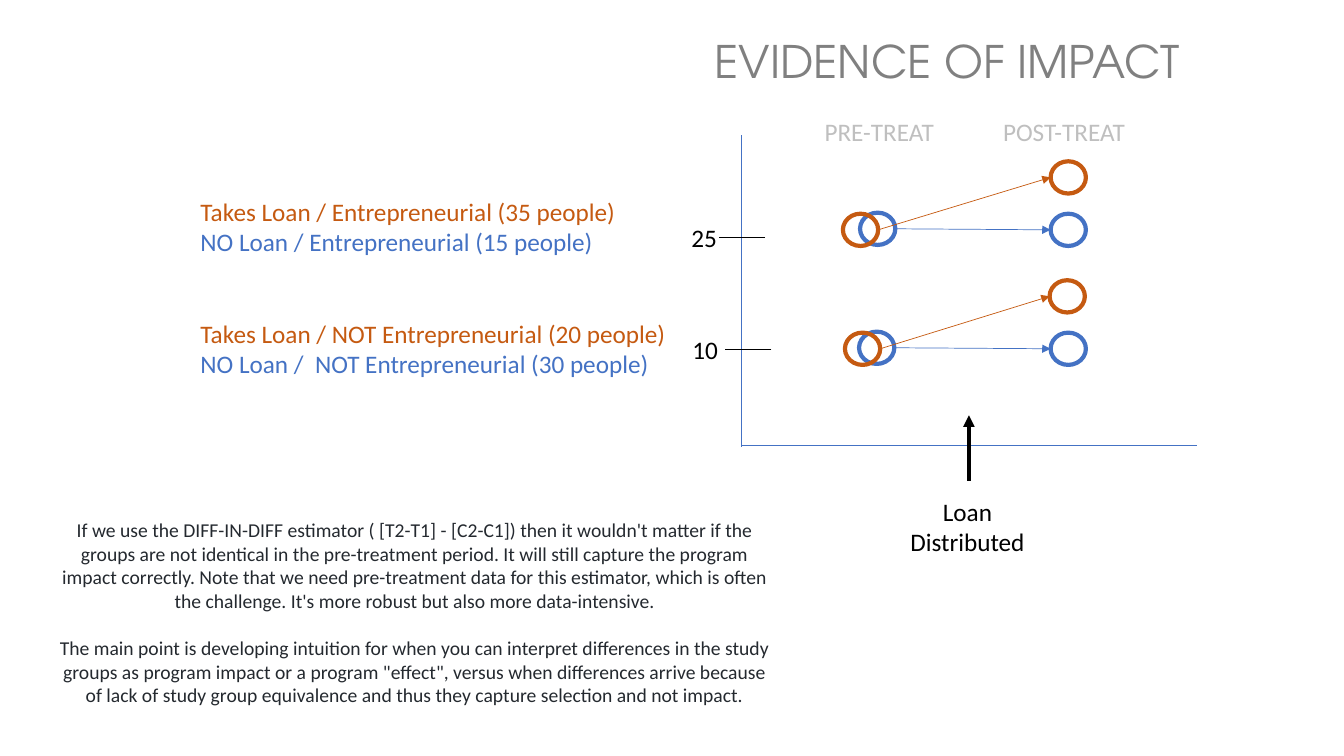
"""Build the evidence of impact slide, laid out on a grid of tenth-inch cells."""
from lxml import etree
from pptx import Presentation, util as u
from pptx.dml.color import RGBColor
from pptx.enum import shapes, text
from pptx.oxml.ns import qn

ORANGE = RGBColor(0xC5, 0x5A, 0x11)
BLUE = RGBColor(0x44, 0x72, 0xC4)
BLACK = RGBColor(0, 0, 0)
SILVER = RGBColor(0xBF, 0xBF, 0xBF)
GREY = RGBColor(0x80, 0x80, 0x80)
INK = RGBColor(0x24, 0x29, 0x2F)
LEFT, MID = text.PP_ALIGN.LEFT, text.PP_ALIGN.CENTER
BODY = {"size": u.Pt(18), "name": "Calibri"}
NOTE = {"size": u.Pt(14), "name": "Calibri"}
TITLE = {"size": u.Pt(32), "name": "TeX Gyre Adventor"}
WIDE, HIGH, LIFT = 3.5, 3.2, 5.2

GROUPS = [
    ("Takes Loan / Entrepreneurial (35 people)", ORANGE, 0),
    ("NO Loan / Entrepreneurial (15 people)", BLUE, 0),
    ("Takes Loan / NOT Entrepreneurial (20 people)", ORANGE, 44),
    ("NO Loan /  NOT Entrepreneurial (30 people)", BLUE, 0),
]
NOTES = [
    ("If we use the DIFF-IN-DIFF estimator ( [T2-T1] - [C2-C1]) then it wouldn't matter if the "
     "groups are not identical in the pre-treatment period. It will still capture the program "
     "impact correctly. Note that we need pre-treatment data for this estimator, which is often "
     "the challenge. It's more robust but also more data-intensive.", INK, 0),
    ("The main point is developing intuition for when you can interpret differences in the study "
     "groups as program impact or a program \"effect\", versus when differences arrive because "
     "of lack of study group equivalence and thus they capture selection and not impact.", INK, 17),
]
TEXTS = [
    ((18.9, 19, 48.7, 22.2), GROUPS, BODY, LEFT, False),
    ((67.6, 21.6, 4.6, 4), [("25", BLACK, 0)], BODY, LEFT, False),
    ((67.7, 32.7, 4.6, 4), [("10", BLACK, 0)], BODY, LEFT, False),
    ((89.2, 48.7, 13.5, 7.1), [("Loan", BLACK, 0), ("Distributed", BLACK, 0)], BODY, MID, False),
    ((80.8, 11.1, 13, 4), [("PRE-TREAT", SILVER, 0)], BODY, LEFT, False),
    ((98.5, 11.1, 14.4, 4), [("POST-TREAT", SILVER, 0)], BODY, LEFT, False),
    ((69.9, 2.9, 48.9, 6.4), [("EVIDENCE OF IMPACT", GREY, 0)], TITLE, LEFT, False),
    ((4.6, 50.9, 73.1, 19.9), NOTES, NOTE, MID, True),
]
LINES = [
    ((73.5, 13.4, 73.5, 44.3), BLUE, 0.5, False),
    ((118.7, 44.2, 73.5, 44.2), BLUE, 0.5, False),
    ((75.9, 23.5, 71.3, 23.5), BLACK, 0.5, False),
    ((76.5, 34.7, 71.9, 34.7), BLACK, 0.5, False),
    ((96.1, 47.7, 96.1, 41.2), BLACK, 2.75, True),
]
PAIRS = [
    {"row": 21.2, "take": 83.6, "none": 85.3, "after": 104.2},
    {"row": 33, "take": 83.8, "none": 85.2, "after": 104.1},
]


def cells(spots):
    return [u.Inches(n / 10) for n in spots]


def write(page, box, lines, font, align, wrap):
    frame = page.shapes.add_textbox(*cells(box)).text_frame
    frame.word_wrap = wrap
    frame.auto_size = text.MSO_AUTO_SIZE.SHAPE_TO_FIT_TEXT
    for i, (words, color, gap) in enumerate(lines):
        para = frame.add_paragraph() if i else frame.paragraphs[0]
        para.alignment = align
        para.space_before = u.Pt(gap)
        run = para.add_run()
        run.text = words
        for key, value in font.items():
            setattr(run.font, key, value)
        run.font.color.rgb = color


def link(page, ends, color, width, arrow):
    line = page.shapes.add_connector(shapes.MSO_CONNECTOR.STRAIGHT, *cells(ends))
    line.line.color.rgb = color
    line.line.width = u.Pt(width)
    if arrow:
        etree.SubElement(line.line._get_or_add_ln(), qn("a:tailEnd"), type="triangle")
    etree.SubElement(line._element.spPr, qn("a:effectLst"))


def ring(page, left, top, color):
    oval = page.shapes.add_shape(shapes.MSO_SHAPE.OVAL, *cells((left, top, WIDE, HIGH)))
    oval.shadow.inherit = False
    oval.fill.background()
    oval.line.color.rgb = color
    oval.line.width = u.Pt(3)


def trend(page, start, end, color):
    for left, top in (start, end):
        ring(page, left, top, color)
    half = HIGH / 2
    ends = (start[0] + WIDE, start[1] + half, end[0], end[1] + half)
    link(page, ends, color, 0.5, True)


def main():
    deck = Presentation()
    deck.slide_width, deck.slide_height = u.Inches(13.33), u.Inches(7.5)
    page = deck.slides.add_slide(deck.slide_layouts[6])
    for item in LINES:
        link(page, *item)
    for pair in PAIRS:
        row = pair["row"]
        trend(page, (pair["none"], row - 0.1), (104.2, row), BLUE)
        trend(page, (pair["take"], row), (pair["after"], row - LIFT), ORANGE)
    for item in TEXTS:
        write(page, *item)
    deck.save("out.pptx")


if __name__ == "__main__":
    main()
